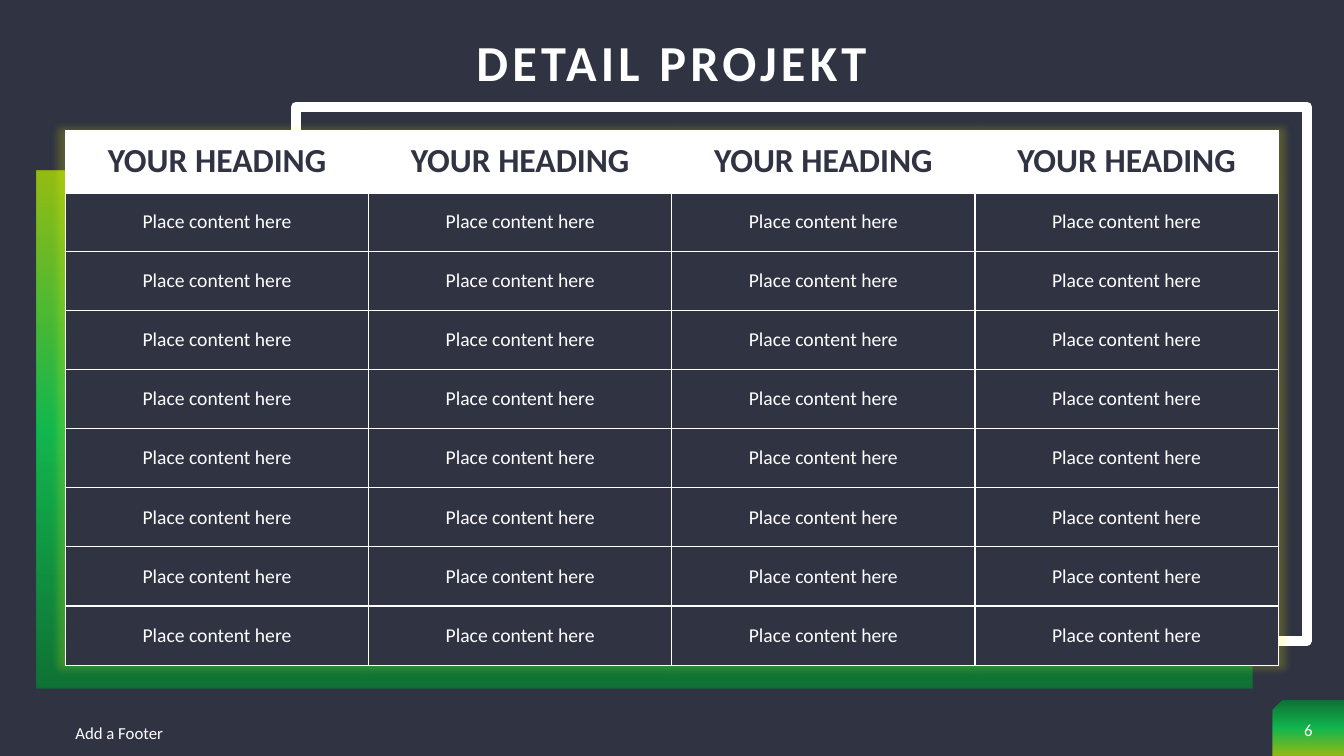
import lxml.etree
import pptx
import pptx.dml.color
import pptx.enum.shapes
import pptx.enum.text
import pptx.oxml
import pptx.oxml.ns
import pptx.util

Cm = pptx.util.Cm
Pt = pptx.util.Pt
RGBColor = pptx.dml.color.RGBColor
SHAPE = pptx.enum.shapes.MSO_SHAPE
ALIGN = pptx.enum.text.PP_ALIGN
MIDDLE = pptx.enum.text.MSO_ANCHOR.MIDDLE
qn = pptx.oxml.ns.qn

NIGHT = RGBColor(0x2F, 0x33, 0x42)
WHITE = RGBColor(0xFF, 0xFF, 0xFF)
GREEN = RGBColor(0x03, 0x8B, 0x30)
MINT = RGBColor(0x05, 0xEE, 0x55)
LIME = RGBColor(0xC0, 0xF4, 0x00)
GLOW = RGBColor(0xFF, 0xFF, 0x00)

FONT = "Calibri"
COLUMNS = 4
BODY_ROWS = 8
LEFT, WIDTH = Cm(1.65), Cm(30.56)


def add_color(parent, color, opacity):
    node = lxml.etree.SubElement(parent, qn("a:srgbClr"), val=str(color))
    lxml.etree.SubElement(node, qn("a:alpha"), val=str(opacity * 1000))


def write(frame, text, size, color=WHITE, bold=False, align=ALIGN.CENTER):
    """Put one formatted run in the first paragraph and return the run."""
    para = frame.paragraphs[0]
    para.alignment = align
    span = para.add_run()
    span.text = text
    span.font.name = FONT
    span.font.size = Pt(size)
    span.font.bold = bold
    span.font.color.rgb = color
    return span


def add_title(page, text):
    title = page.shapes.title
    title.left, title.top, title.width, title.height = LEFT, 0, WIDTH, Cm(3.3)
    frame = title.text_frame
    frame.vertical_anchor = MIDDLE
    span = write(frame, text, 36, bold=True)
    span.font._element.set("spc", "300")
    frame.paragraphs[0].line_spacing = 0.9


def add_gradient_shape(page, kind, left, top, width, height, angle):
    """Add a translucent green-to-lime shape; angle runs counter-clockwise."""
    shape = page.shapes.add_shape(kind, left, top, width, height)
    shape.shadow.inherit = False
    shape.line.fill.background()
    shape.fill.gradient()
    shape.fill.gradient_angle = angle
    stops = shape._element.spPr.find(".//" + qn("a:gsLst"))
    for stop in list(stops):
        stops.remove(stop)
    for percent, color in ((0, GREEN), (50, MINT), (100, LIME)):
        stop = lxml.etree.SubElement(stops, qn("a:gs"), pos=str(percent * 1000))
        add_color(stop, color, 70)
    return shape


def add_frame(page, left, top, width, height):
    box = page.shapes.add_shape(SHAPE.RECTANGLE, left, top, width, height)
    box.shadow.inherit = False
    box.fill.background()
    box.line.color.rgb = WHITE
    box.line.width = Pt(7)


def add_label(page, text, left, top, width, height, align):
    box = page.shapes.add_textbox(left, top, width, height)
    box.text_frame.word_wrap = True
    box.text_frame.vertical_anchor = MIDDLE
    write(box.text_frame, text, 12, align=align)


def add_border(cell, side, points):
    line = lxml.etree.SubElement(
        cell._tc.get_or_add_tcPr(), qn("a:ln" + side), w=str(Pt(points)))
    fill = lxml.etree.SubElement(line, qn("a:solidFill"))
    lxml.etree.SubElement(fill, qn("a:srgbClr"), val=str(WHITE))


def add_glow(table):
    """Surround the table with a soft, slightly enlarged yellow shadow."""
    effects = pptx.oxml.parse_xml(
        '<a:effectLst xmlns:a="http://schemas.openxmlformats.org/drawingml/2006/main">'
        '<a:outerShdw blurRad="63500" sx="101000" sy="101000" algn="ctr"'
        ' rotWithShape="0"/></a:effectLst>')
    add_color(effects[0], GLOW, 20)
    table._tbl.tblPr.insert(0, effects)


def fill_cell(cell, is_heading):
    borders = {"L": 1, "R": 1, "B": 1}
    if is_heading:
        borders = {"L": 1, "R": 1, "T": 1, "B": 3}
    for side, points in borders.items():
        add_border(cell, side, points)
    cell.fill.solid()
    cell.fill.fore_color.rgb = WHITE if is_heading else NIGHT
    cell.vertical_anchor = MIDDLE
    cell.margin_left = cell.margin_right = Cm(0.18)
    cell.margin_top = cell.margin_bottom = Cm(0.1)
    if is_heading:
        write(cell.text_frame, "YOUR HEADING", 24, NIGHT, True)
    else:
        write(cell.text_frame, "Place content here", 14)


def add_content_table(page):
    table = page.shapes.add_table(
        BODY_ROWS + 1, COLUMNS, LEFT, Cm(3.3), WIDTH, Cm(13.46)).table
    add_glow(table)
    for column in table.columns:
        column.width = Cm(7.64)
    for index, row in enumerate(table.rows):
        is_heading = index == 0
        row.height = Cm(1.54) if is_heading else Cm(1.49)
        for cell in row.cells:
            fill_cell(cell, is_heading)


def main():
    deck = pptx.Presentation()
    deck.slide_width, deck.slide_height = Cm(33.87), Cm(19.05)
    page = deck.slides.add_slide(deck.slide_layouts.get_by_name("Title Only"))
    page.background.fill.solid()
    page.background.fill.fore_color.rgb = NIGHT

    add_title(page, "DETAIL PROJEKT")
    badge = add_gradient_shape(page, SHAPE.SNIP_1_RECTANGLE,
                               Cm(32.08), Cm(17.65), Cm(1.79), Cm(1.4), 270)
    badge._element.spPr.xfrm.set("flipH", "1")
    add_frame(page, Cm(7.46), Cm(2.69), Cm(25.48), Cm(13.46))
    add_gradient_shape(page, SHAPE.RECTANGLE,
                       Cm(0.93), Cm(4.29), Cm(30.63), Cm(13.06), 90)
    add_content_table(page)
    add_label(page, "Add a Footer", LEFT, Cm(17.96), Cm(11.43), Cm(1.02), ALIGN.LEFT)
    add_label(page, "6", Cm(32.08), Cm(17.81), Cm(1.79), Cm(1.14), ALIGN.CENTER)
    deck.save("out.pptx")


if __name__ == "__main__":
    main()
